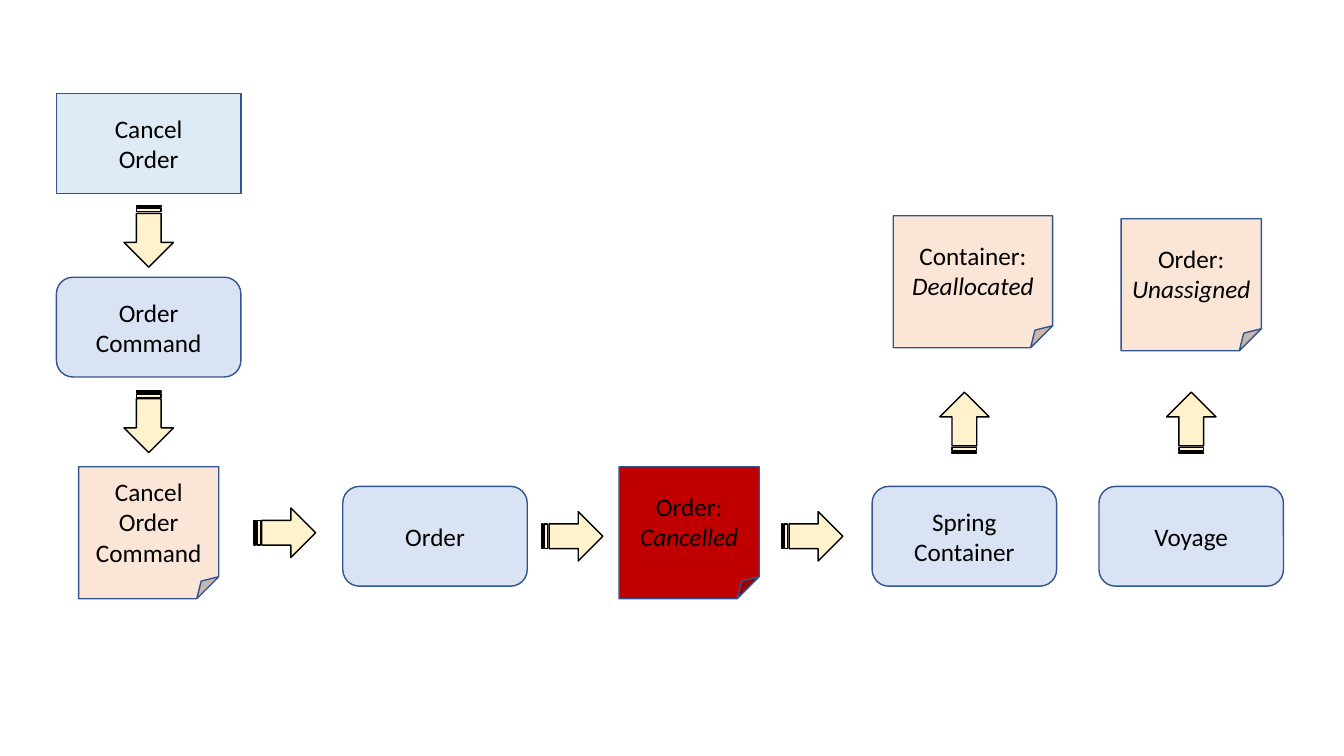
from pptx import Presentation
from pptx.dml.color import RGBColor
from pptx.enum.shapes import MSO_SHAPE as SHAPE
from pptx.enum.text import MSO_ANCHOR, PP_ALIGN
from pptx.util import Inches, Pt

BLACK = RGBColor(0x00, 0x00, 0x00)
OUTLINE = RGBColor(0x32, 0x54, 0x91)
SKY = RGBColor(0xDE, 0xEB, 0xF7)
BLUE = RGBColor(0xDA, 0xE3, 0xF3)
PEACH = RGBColor(0xFB, 0xE5, 0xD6)
RED = RGBColor(0xC0, 0x00, 0x00)
CREAM = RGBColor(0xFF, 0xF2, 0xCC)

BOX_W, BOX_H = 1.83, 0.99
NOTE_W, NOTE_H = 1.39, 1.31
ARROW_W, ARROW_H = 0.61, 0.49
ROW_Y = 5.32  # centre line of the bottom row
NOTE_Y = 5.285
COMMAND_X, CONTAINER_X, VOYAGE_X = 1.475, 9.565, 11.815  # column centres

# (text, centre x, centre y)
COMPONENTS = [
    ("Order Command", COMMAND_X, 3.245),
    ("Order", 4.315, ROW_Y),
    ("Spring Container", CONTAINER_X, ROW_Y),
    ("Voyage", VOYAGE_X, ROW_Y),
]
# (lines, centre x, centre y, width, fill); a second line is italic
NOTES = [
    (["Cancel Order Command"], COMMAND_X, NOTE_Y, NOTE_W, PEACH),
    (["Order:", "Cancelled"], 6.835, NOTE_Y, NOTE_W, RED),
    (["Container:", "Deallocated"], 9.65, 2.795, 1.58, PEACH),
    (["Order:", "Unassigned"], VOYAGE_X, 2.825, NOTE_W, PEACH),
]
RIGHT, DOWN, UP = 0, 90, 270
# (centre x, centre y, rotation)
ARROWS = [
    (COMMAND_X, 2.345, DOWN),
    (COMMAND_X, 4.185, DOWN),
    (2.825, 5.285, RIGHT),
    (5.675, ROW_Y, RIGHT),
    (8.055, ROW_Y, RIGHT),
    (CONTAINER_X, 4.195, UP),
    (VOYAGE_X, 4.195, UP),
]


def add_part(kind, x, y, w, h, fill, line=OUTLINE):
    """Add a flat filled shape centred on x, y."""
    sp = slide.shapes.add_shape(
        kind, Inches(x - w / 2), Inches(y - h / 2), Inches(w), Inches(h))
    sp.shadow.inherit = False
    sp.fill.solid()
    sp.fill.fore_color.rgb = fill
    sp.line.color.rgb = line
    sp.line.width = Pt(1)
    return sp


def set_text(sp, lines):
    """Write centred paragraphs, the ones after the first in italics."""
    tf = sp.text_frame
    tf.text = "\n".join(lines)
    tf.word_wrap = True
    tf.vertical_anchor = MSO_ANCHOR.MIDDLE
    for i, p in enumerate(tf.paragraphs):
        p.alignment = PP_ALIGN.CENTER
        for r in p.runs:
            r.font.name = "Calibri"
            r.font.size = Pt(18)
            r.font.color.rgb = BLACK
            if i:
                r.font.italic = True


prs = Presentation()
prs.slide_width, prs.slide_height = Inches(13.33), Inches(7.5)
slide = prs.slides.add_slide(prs.slide_layouts[6])

request = add_part(SHAPE.RECTANGLE, COMMAND_X, 1.425, BOX_W, BOX_H, SKY)
set_text(request, ["Cancel\vOrder"])
for text, x, y in COMPONENTS:
    set_text(add_part(SHAPE.ROUNDED_RECTANGLE, x, y, BOX_W, BOX_H, BLUE), [text])
for lines, x, y, w, fill in NOTES:
    set_text(add_part(SHAPE.FOLDED_CORNER, x, y, w, NOTE_H, fill), lines)
for x, y, rotation in ARROWS:
    arrow = add_part(
        SHAPE.STRIPED_RIGHT_ARROW, x, y, ARROW_W, ARROW_H, CREAM, BLACK)
    arrow.rotation = rotation

prs.save("out.pptx")
